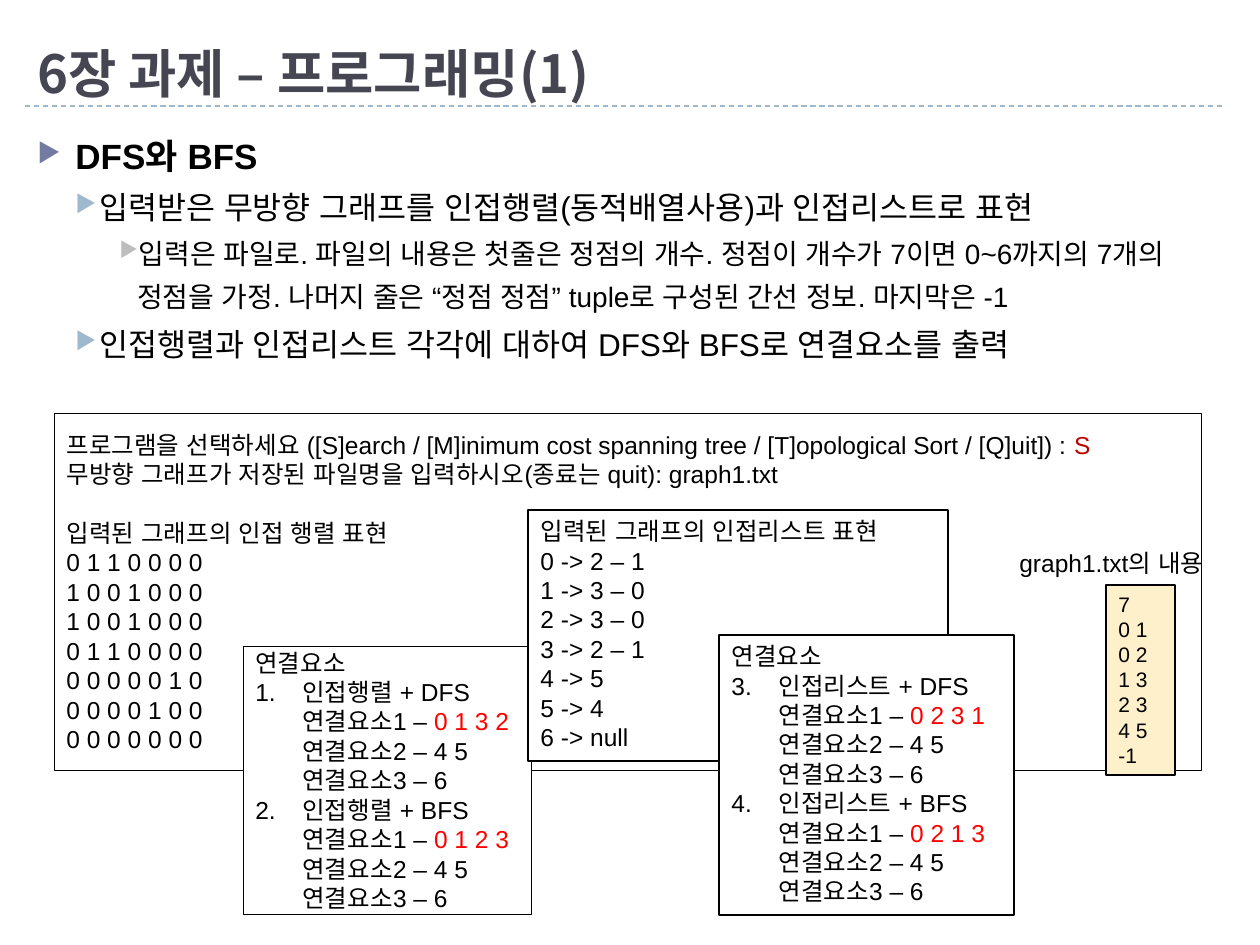
import dataclasses
import typing

import lxml.etree
import pptx
import pptx.dml.color
import pptx.enum.dml
import pptx.enum.shapes
import pptx.enum.text
import pptx.oxml.ns
import pptx.util

RGB = pptx.dml.color.RGBColor
BLACK = RGB(0, 0, 0)
WHITE = RGB(255, 255, 255)
RED = RGB(255, 0, 0)
CRIMSON = RGB(0xC0, 0, 0)
CREAM = RGB(0xFD, 0xF0, 0xCA)
SLATE = RGB(0x46, 0x46, 0x53)
INDIGO = RGB(0x72, 0x7C, 0xA3)
SKY = RGB(0x9F, 0xB8, 0xCD)
GREY = RGB(0xBD, 0xBD, 0xBD)

ANCHOR = pptx.enum.text.MSO_ANCHOR
SCALE = 914400 // 126
LEAD = 1.2


def px(num: float) -> int:
    """Turn pixels into EMU."""
    return round(num * SCALE)


@dataclasses.dataclass
class Para:
    """A paragraph of (text, colour) runs; a newline is a line break."""
    runs: list[tuple[str, RGB]]
    size: float = 14
    bold: bool = False
    face: str = "Arial"
    lead: float = LEAD
    gap: float = 0
    left: int = 0
    hang: int = 0
    tint: typing.Optional[RGB] = None
    start: int = 0


@dataclasses.dataclass
class Box:
    """A block of text, with or without a frame."""
    at: tuple[int, int, int, int]
    paras: list[Para]
    fill: typing.Optional[RGB] = None
    line: float = 0
    anchor: ANCHOR = ANCHOR.TOP
    foot: int = 6


def plain(text: str, **style: typing.Any) -> Para:
    """Make a paragraph of black text."""
    return Para([(text, BLACK)], **style)


def rows(text: str, **style: typing.Any) -> list[Para]:
    """Make one paragraph per line."""
    return [plain(row, **style) for row in text.split("\n")]


def point(text: str, size: float, left: int, hang: int, tint: RGB,
          bold: bool = False) -> Para:
    """Make a bulleted outline paragraph."""
    return plain(text, size=size, left=left, hang=hang, tint=tint, bold=bold,
                 lead=LEAD * 1.3)


def parts(kind: str, items: list[tuple[str, str, int]]) -> list[Para]:
    """List the connected components found by each search."""
    return [plain("연결요소")] + [
        Para([(f"{kind} + {name}\n연결요소1 – ", BLACK), (order + "\n", RED),
              ("연결요소2 – 4 5\n연결요소3 – 6", BLACK)],
             left=47, hang=47, start=start)
        for name, order, start in items]


def mark(props: typing.Any, para: Para) -> None:
    """Add the indent and the bullet or number."""
    def add(tag: str, **attrs: str) -> typing.Any:
        node = lxml.etree.SubElement(props, pptx.oxml.ns.qn("a:" + tag))
        for key, val in attrs.items():
            node.set(key, val)
        return node

    props.set("marL", str(px(para.left)))
    props.set("indent", str(-px(para.hang)))
    if para.tint:
        hue = add("buClr")
        lxml.etree.SubElement(hue, pptx.oxml.ns.qn("a:srgbClr")).set(
            "val", str(para.tint))
        add("buSzPct", val="76000")
        add("buChar", char="▶")
    elif para.start:
        add("buFont", typeface="+mj-lt")
        add("buAutoNum", type="arabicPeriod", startAt=str(para.start))


def write(item: typing.Any, para: Para) -> None:
    """Fill one paragraph."""
    form = {
        "alignment": pptx.enum.text.PP_ALIGN.LEFT,
        "line_spacing": pptx.util.Pt(para.size * para.lead),
        "space_before": pptx.util.Pt(para.gap),
    }
    for key, val in form.items():
        setattr(item, key, val)
    mark(item._p.get_or_add_pPr(), para)
    look = {"size": pptx.util.Pt(para.size), "bold": para.bold,
            "name": para.face}
    for text, color in para.runs:
        for num, piece in enumerate(text.split("\n")):
            if num:
                item.add_line_break()
            if not piece:
                continue
            run = item.add_run()
            run.text = piece
            for key, val in look.items():
                setattr(run.font, key, val)
            run.font.color.rgb = color
            lxml.etree.SubElement(run.font._element, pptx.oxml.ns.qn("a:ea")
                                  ).set("typeface", para.face)


def draw(slide: typing.Any, box: Box) -> None:
    """Draw a box and its text."""
    place = [px(num) for num in box.at]
    if box.line:
        shape = slide.shapes.add_shape(
            pptx.enum.shapes.MSO_SHAPE.RECTANGLE, *place)
        shape.shadow.inherit = False
        shape.line.color.rgb = BLACK
        shape.line.width = pptx.util.Pt(box.line)
        if box.fill:
            shape.fill.solid()
            shape.fill.fore_color.rgb = box.fill
        else:
            shape.fill.background()
    else:
        shape = slide.shapes.add_textbox(*place)
    frame = shape.text_frame
    form = {"word_wrap": True, "vertical_anchor": box.anchor,
            "margin_bottom": px(box.foot)}
    for key, val in form.items():
        setattr(frame, key, val)
    for num, para in enumerate(box.paras):
        write(frame.add_paragraph() if num else frame.paragraphs[0], para)


def rule(slide: typing.Any) -> None:
    """Draw the dashed line under the title."""
    line = slide.shapes.add_connector(
        pptx.enum.shapes.MSO_CONNECTOR.STRAIGHT,
        px(25), px(106), px(1225), px(106))
    line.line.color.rgb = SKY
    line.line.width = pptx.util.Pt(0.75)
    line.line.dash_style = pptx.enum.dml.MSO_LINE.DASH
    lxml.etree.SubElement(line._element.spPr,
                          pptx.oxml.ns.qn("a:effectLst"))


TITLE = Para([("6장 과제 – 프로그래밍(1)", SLATE)], size=30, bold=True,
             face="Noto Sans CJK KR", lead=1.4)
GOALS = [
    point("DFS와 BFS", 20, 38, 38, INDIGO, bold=True),
    point("입력받은 무방향 그래프를 인접행렬(동적배열사용)과 인접리스트로 표현",
          18, 62, 24, SKY),
    point("입력은 파일로. 파일의 내용은 첫줄은 정점의 개수. 정점이 개수가 "
          "7이면 0~6까지의 7개의 정점을 가정. 나머지 줄은 “정점 정점” "
          "tuple로 구성된 간선 정보. 마지막은 -1", 16, 100, 18, GREY),
    point("인접행렬과 인접리스트 각각에 대하여 DFS와 BFS로 연결요소를 출력",
          18, 62, 24, SKY),
]
SHELL = [
    Para([("프로그램을 선택하세요 ([S]earch / [M]inimum cost spanning tree / "
           "[T]opological Sort / [Q]uit]) : ", BLACK), ("S", CRIMSON)]),
    plain("무방향 그래프가 저장된 파일명을 입력하시오(종료는 quit): graph1.txt"),
    plain("입력된 그래프의 인접 행렬 표현", gap=14 * LEAD),
    *rows("0 1 1 0 0 0 0\n1 0 0 1 0 0 0\n1 0 0 1 0 0 0\n0 1 1 0 0 0 0\n"
          "0 0 0 0 0 1 0\n0 0 0 0 1 0 0\n0 0 0 0 0 0 0"),
]
LINKS = rows("입력된 그래프의 인접리스트 표현\n0 -> 2 – 1\n1 -> 3 – 0\n"
             "2 -> 3 – 0\n3 -> 2 – 1\n4 -> 5\n5 -> 4\n6 -> null")
FILE = rows("7\n0 1\n0 2\n1 3\n2 3\n4 5\n-1", size=12)

BOXES = [
    Box((25, 21, 1201, 85), [TITLE], anchor=ANCHOR.BOTTOM, foot=2),
    Box((25, 116, 1211, 804), GOALS),
    Box((54, 413, 1147, 357), SHELL, None, 0.25, ANCHOR.MIDDLE),
    Box((243, 646, 288, 268),
        parts("인접행렬", [("DFS", "0 1 3 2", 1), ("BFS", "0 1 2 3", 2)]),
        WHITE, 0.25, ANCHOR.MIDDLE),
    Box((1106, 585, 69, 190), FILE, CREAM, 0.75),
    Box((1007, 542, 258, 43), [plain("graph1.txt의 내용")]),
    Box((528, 510, 420, 251), LINKS, WHITE, 0.75),
    Box((719, 635, 295, 280),
        parts("인접리스트", [("DFS", "0 2 3 1", 3), ("BFS", "0 2 1 3", 3)]),
        WHITE, 0.75),
]

deck = pptx.Presentation()
deck.slide_width, deck.slide_height = px(1260), px(945)
page = deck.slides.add_slide(deck.slide_layouts[6])
rule(page)
for item in BOXES:
    draw(page, item)
deck.save("out.pptx")
